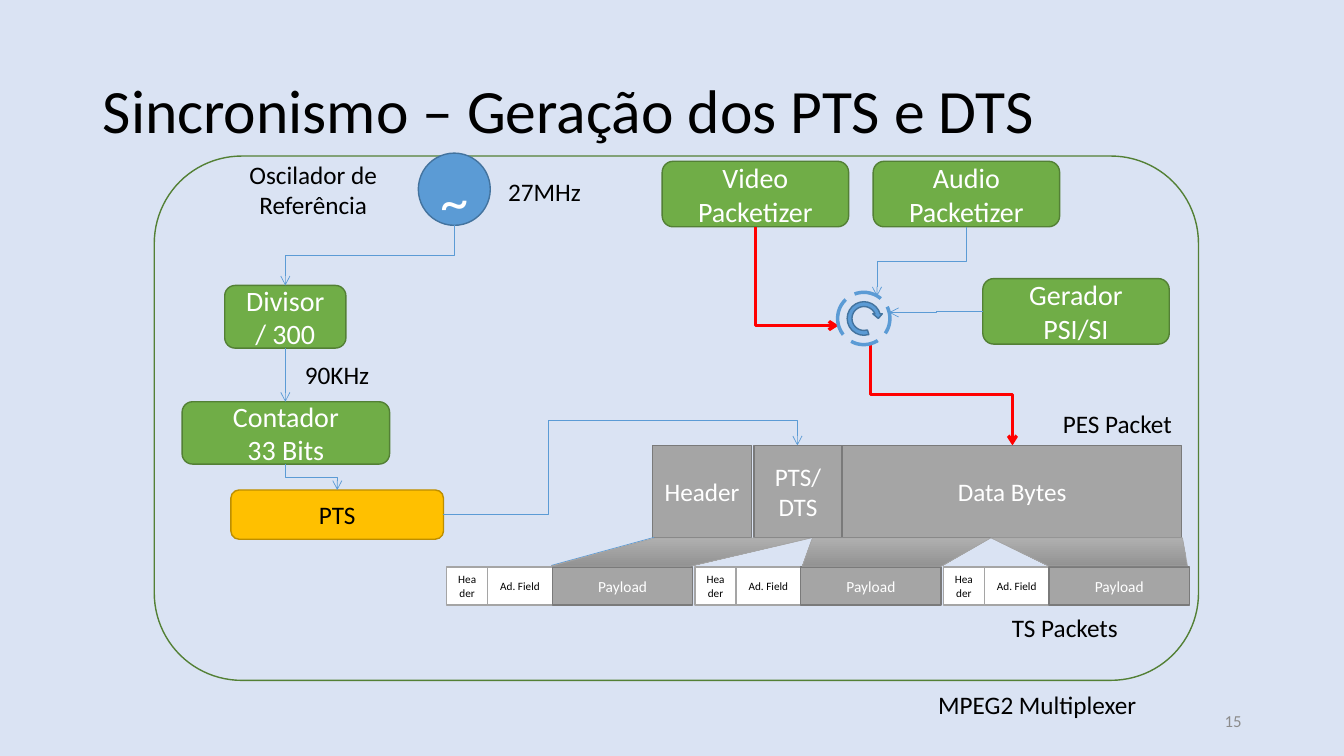
from lxml import etree
from pptx import Presentation
from pptx.dml.color import RGBColor
from pptx.enum.dml import MSO_LINE
from pptx.enum.shapes import MSO_CONNECTOR, MSO_SHAPE
from pptx.enum.text import MSO_ANCHOR, PP_ALIGN
from pptx.oxml.ns import qn
from pptx.util import Pt

ROUNDED, RECT, OVAL = MSO_SHAPE.ROUNDED_RECTANGLE, MSO_SHAPE.RECTANGLE, MSO_SHAPE.OVAL
CIRCULAR = MSO_SHAPE.CIRCULAR_ARROW
ELBOW, STRAIGHT = MSO_CONNECTOR.ELBOW, MSO_CONNECTOR.STRAIGHT
LEFT, CENTER, RIGHT = PP_ALIGN.LEFT, PP_ALIGN.CENTER, PP_ALIGN.RIGHT
MIDDLE, TOP = MSO_ANCHOR.MIDDLE, MSO_ANCHOR.TOP
GREEN, DARK_GREEN = "70AD47", "538035"
BLUE, DARK_BLUE = "5B9BD5", "43739E"
GRAY, DARK_GRAY = "A5A5A5", "7A7A7A"
WHITE, BLACK, RED = "FFFFFF", "000000", "FF0000"
rgb = RGBColor.from_string

prs = Presentation()
prs.slide_width, prs.slide_height = Pt(960), Pt(540)
slide = prs.slides.add_slide(prs.slide_layouts[5])
slide.background.fill.solid()
slide.background.fill.fore_color.rgb = rgb("DAE3F3")
shapes = slide.shapes


def add_box(kind, bounds, text="", size=18, color=WHITE, fill=None, line=None, align=CENTER):
    """Add a preset shape, or a plain text box when kind is None."""
    place = [Pt(v) for v in bounds]
    if kind is None:
        box = shapes.add_textbox(*place)
    else:
        box = shapes.add_shape(kind, *place)
        box.shadow.inherit = False
        box.line.color.rgb = rgb(line)
        box.line.width = Pt(1)
        if fill:
            box.fill.solid()
            box.fill.fore_color.rgb = rgb(fill)
        else:
            box.fill.background()
    frame = box.text_frame
    frame.word_wrap = True
    frame.vertical_anchor = TOP if kind is None else MIDDLE
    frame.text = text
    for paragraph in frame.paragraphs:
        paragraph.alignment = align
        for run in paragraph.runs:
            run.font.name, run.font.size = "Calibri", Pt(size)
            run.font.color.rgb = rgb(color)
    return box


def add_link(start, end, color=BLUE, width=0.5, kind=ELBOW, vertical=True,
             preset=None, adjust=(), arrow=True):
    """Add a connector; a vertical one leaves its start downwards."""
    (x1, y1), (x2, y2) = start, end
    turned = kind == ELBOW and vertical
    if turned:
        # Lay the path out sideways, then turn it by 90 degrees
        cx, cy, dx, dy = (x1 + x2) / 2, (y1 + y2) / 2, x2 - x1, y2 - y1
        x1, y1, x2, y2 = cx - dy / 2, cy + dx / 2, cx + dy / 2, cy - dx / 2
    link = shapes.add_connector(kind, Pt(x1), Pt(y1), Pt(x2), Pt(y2))
    link.line.color.rgb = rgb(color)
    link.line.width = Pt(width)
    props = link._element.spPr
    if turned:
        props.find(qn("a:xfrm")).set("rot", "5400000")
    geometry = props.find(qn("a:prstGeom"))
    if preset:
        geometry.set("prst", preset)
    for number, value in enumerate(adjust, 1):
        guide = etree.SubElement(geometry.find(qn("a:avLst")), qn("a:gd"))
        guide.set("name", f"adj{number}")
        guide.set("fmla", f"val {round(value * 100000)}")
    if arrow:
        etree.SubElement(props.find(qn("a:ln")), qn("a:tailEnd")).set("type", "arrow")
    etree.SubElement(props, qn("a:effectLst"))


# Multiplexer outline
add_box(ROUNDED, (110.2, 111.5, 745.9, 374.5), line=DARK_GREEN)

# Title
title = shapes.title
title.left, title.top, title.width, title.height = Pt(66.2), Pt(28.8), Pt(828), Pt(104.4)
title.text_frame.text = "Sincronismo – Geração dos PTS e DTS"
title.text_frame.vertical_anchor = MIDDLE
heading = title.text_frame.paragraphs[0]
heading.alignment, heading.line_spacing = LEFT, 0.9
heading_font = heading.runs[0].font
heading_font.name, heading_font.size = "Calibri", Pt(44)
heading_font.color.rgb = rgb(BLACK)

# Processing blocks
for text, bounds in [
    ("Divisor\n/ 300", (160.5, 203.9, 86.6, 44.8)),
    ("Contador\n33 Bits", (130.1, 287, 148.2, 44.5)),
    ("Video\nPacketizer", (473, 115.2, 133.2, 46.8)),
    ("Audio\nPacketizer", (623.7, 115.2, 133.2, 46.8)),
    ("Gerador\nPSI/SI", (702, 199, 133.2, 46.8)),
]:
    add_box(ROUNDED, bounds, text, 20, fill=GREEN, line=DARK_GREEN)
add_box(ROUNDED, (164.9, 350, 151.9, 35.2), "PTS", color=BLACK, fill="FFC000", line="BD8E00")

# Oscillator
oscillator = add_box(OVAL, (298.8, 109.4, 51.4, 51.6), "~", 40, fill=BLUE, line=DARK_BLUE)
oscillator.text_frame.margin_top = Pt(17)

# Labels
for text, bounds, align in [
    ("Oscilador de Referência", (164, 110.2, 119.5, 51), CENTER),
    ("27MHz", (353, 122.4, 72, 28.8), CENTER),
    ("90KHz", (208.8, 253.4, 64, 28.8), CENTER),
    ("PES Packet", (749.5, 288, 97.2, 28.8), CENTER),
    ("TS Packets", (712, 433.5, 97.2, 28.8), CENTER),
    ("MPEG2 Multiplexer", (663, 489, 169.2, 28.8), LEFT),
]:
    add_box(None, bounds, text, color=BLACK, align=align)

# Clock path: oscillator, divider, counter, PTS, packet
add_link((324.5, 161), (203.8, 203.9))
add_link((203.8, 248.7), (203.8, 287))
add_link((203.8, 331.5), (240.9, 350))
add_link((316.8, 367.5), (569.6, 318.2), vertical=False,
         preset="bentConnector4", adjust=(0.296, 1.363))

# Data path: packetizers and generator, selector, packet
add_link((539.6, 162), (599, 232.5), RED, 2.25, preset="bentConnector2")
add_link((690.3, 162), (626.4, 211.7))
add_link((702, 222.4), (635.2, 223.2), vertical=False)
add_link((622, 245.7), (723.2, 318.2), RED, 2.25)

# Selector
ring = add_box(OVAL, (598.3, 208.8, 37.4, 37.4), line=BLUE)
ring.line.width, ring.line.dash_style, ring.rotation = Pt(2.5), MSO_LINE.LONG_DASH, 345.1
spin = add_box(CIRCULAR, (603.4, 213.8, 27.4, 27.4), fill=BLUE, line=DARK_BLUE)
for index, value in enumerate((0.125, 11.42, 204.58, 43.79, 0.125)):
    spin.adjustments[index] = value

# PES packet
for text, left, width in [("Header", 466, 71), ("PTS/\nDTS", 538.6, 62.8),
                          ("Data Bytes", 602, 242)]:
    add_box(RECT, (left, 318.2, width, 66), text, fill=GRAY, line=DARK_GRAY)
add_link((393.8, 403.9), (467.3, 383.8), kind=STRAIGHT, arrow=False)

# TS packets
for packet in range(3):
    left = 319 + packet * 177.4
    for text, width, size, color, fill, line in [
        ("Header", 29.4, 8, BLACK, WHITE, GRAY),
        ("Ad. Field", 46.2, 8, BLACK, WHITE, GRAY),
        ("Payload", 100.2, 11, WHITE, GRAY, DARK_GRAY),
    ]:
        add_box(RECT, (left, 405, width, 27.2), text, size, color, fill, line)
        left += width

# Funnels from the PES packet to each payload
for corners in [
    [(393.8, 404.4), (468, 384.2), (579.6, 384.2), (493.2, 404.4)],
    [(573.1, 404.4), (580.3, 384.2), (707.8, 384.2), (672.5, 404.4)],
    [(748.8, 404.2), (707.8, 384.2), (844.6, 384.2), (848.2, 404.2)],
]:
    points = [(Pt(x), Pt(y)) for x, y in corners]
    outline = shapes.build_freeform(*points[0])
    outline.add_line_segments(points[1:], close=True)
    funnel = outline.convert_to_shape()
    funnel.shadow.inherit = False
    funnel.fill.gradient()
    funnel.fill.gradient_angle = 270
    for stop, shade in zip(funnel.fill.gradient_stops, ("AFAFAF", "939393")):
        stop.color.rgb = rgb(shade)
    funnel.line.color.rgb = rgb(GRAY)
    funnel.line.width = Pt(0.5)

# Slide number
number = add_box(None, (678, 500.5, 216, 28.8), "15", 12, "8C8C8C", align=RIGHT)
number.text_frame.vertical_anchor = MIDDLE

prs.save("out.pptx")
